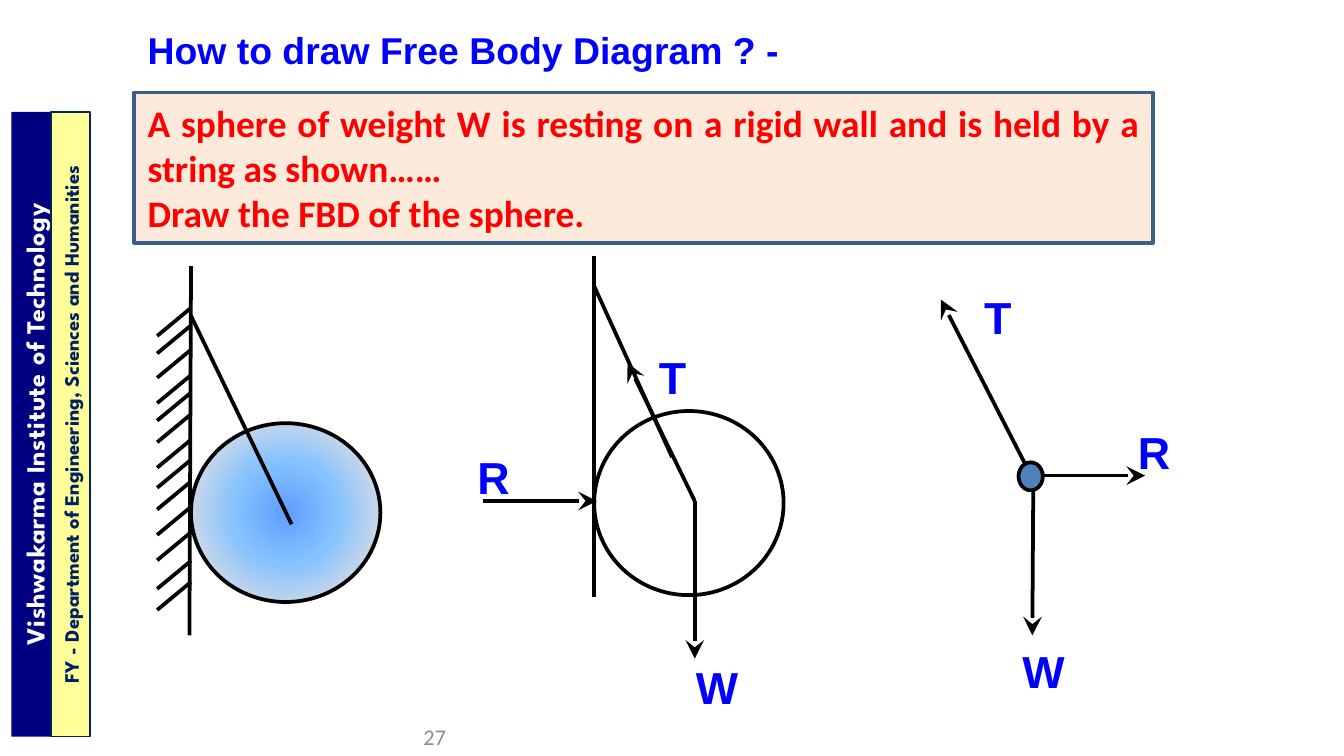
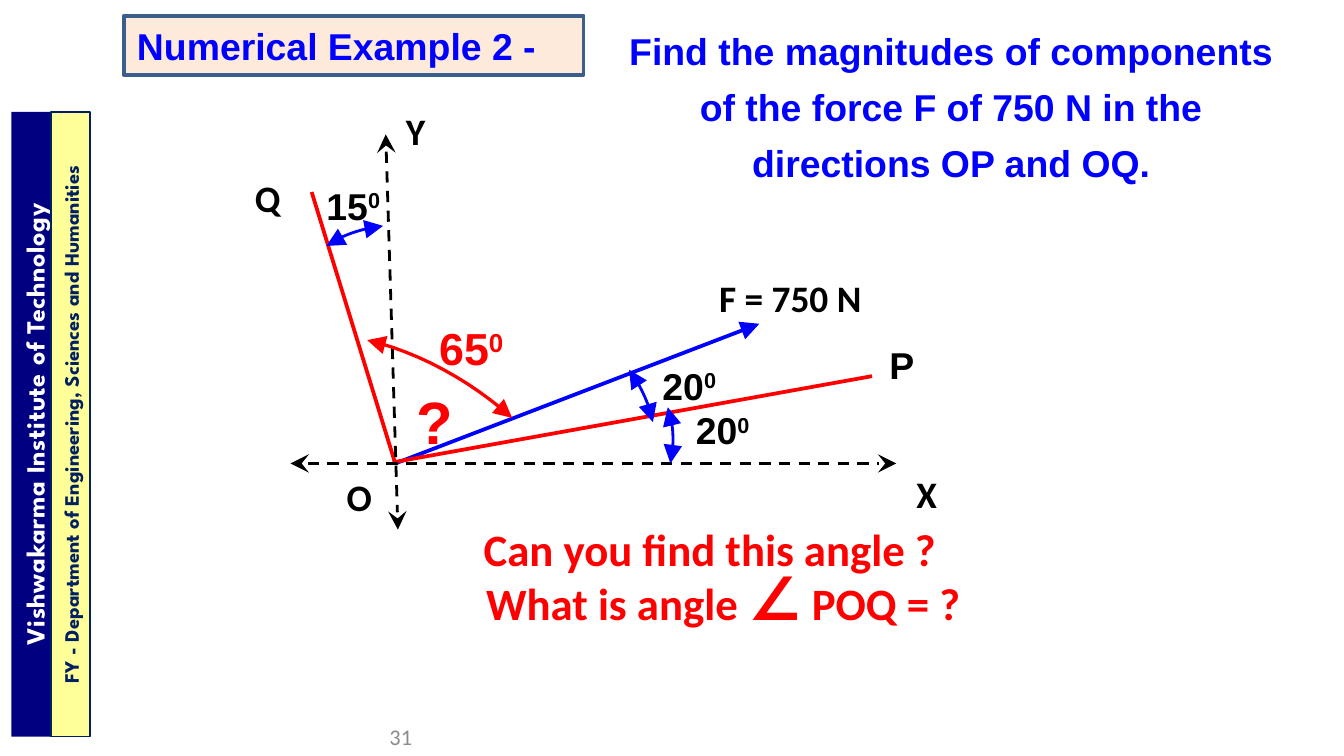
"""Build two mechanics slides: a free body diagram and a force resolution example."""
from lxml.etree import SubElement
from pptx import Presentation
from pptx.dml.color import RGBColor
from pptx.enum.dml import MSO_LINE as Dash
from pptx.enum.shapes import MSO_CONNECTOR as Conn, MSO_SHAPE as Kind
from pptx.enum.text import MSO_ANCHOR as Anchor, PP_ALIGN as Align
from pptx.oxml.ns import qn
from pptx.util import Cm, Pt

BLACK = RGBColor(0x00, 0x00, 0x00)
WHITE = RGBColor(0xFF, 0xFF, 0xFF)
BLUE = RGBColor(0x00, 0x00, 0xFF)
RED = RGBColor(0xFF, 0x00, 0x00)
GREY = RGBColor(0x8C, 0x8C, 0x8C)
NAVY = RGBColor(0x00, 0x00, 0x80)
INK = RGBColor(0x00, 0x20, 0x60)
CREAM = RGBColor(0xFF, 0xFF, 0x99)
PEACH = RGBColor(0xFD, 0xEA, 0xDA)
STEEL = RGBColor(0x3A, 0x5F, 0x8C)
DOT = RGBColor(0x4F, 0x81, 0xBD)


def stroke(shape, color, width=2, head=None, tail=None, dash=None):
    """Set the outline and arrowheads of a shape and drop its shadow."""
    shape.line.color.rgb = color
    shape.line.width = Pt(width)
    if dash:
        shape.line.dash_style = dash
    props = shape._element.spPr
    edge = props.find(qn("a:ln"))
    for tag, tip in (("a:headEnd", head), ("a:tailEnd", tail)):
        if tip:
            SubElement(edge, qn(tag), type=tip, w="lg", len="lg")
    SubElement(props, qn("a:effectLst"))


def write(shape, text, size, color, name="Arial", align=Align.LEFT,
          anchor=Anchor.MIDDLE, space=None, bold=True):
    """Fill a shape with text; a caret starts a superscript."""
    frame = shape.text_frame
    frame.word_wrap = True
    frame.vertical_anchor = anchor
    for i, part in enumerate(text.split("\n")):
        para = frame.add_paragraph() if i else frame.paragraphs[0]
        para.alignment = align
        para.line_spacing = space
        para.font.name, para.font.size = name, Pt(size)
        para.font.bold, para.font.color.rgb = bold, color
        base, _, power = part.partition("^")
        para.add_run().text = base
        if power:
            run = para.add_run()
            run.text = power
            run.font._element.set("baseline", "30000")
    return para


deck = Presentation()
deck.slide_width, deck.slide_height = Cm(25.4), Cm(14.29)
body, force = [deck.slides.add_slide(deck.slide_layouts[6]) for _ in range(2)]

BANDS = [
    ("Vishwakarma Institute of Technology", -5.26, 7.59, 0.86, 14, NAVY, WHITE, None, 30),
    ("FY - Department of Engineering, Sciences and Humanities",
     -4.57, 7.65, 0.74, 11, CREAM, INK, INK, 0),
]
for slide, page, left in ((body, "27", 3.18), (force, "31", 2.54)):
    for text, x, y, high, size, fill, color, edge, gap in BANDS:
        band = slide.shapes.add_shape(Kind.RECTANGLE, Cm(x), Cm(y), Cm(11.81), Cm(high))
        band.rotation = 270
        band.fill.solid()
        band.fill.fore_color.rgb = fill
        if edge:
            stroke(band, edge, 0.75)
        else:
            band.line.fill.background()
            band.shadow.inherit = False
        para = write(band, text, size, color, "League Spartan", Align.CENTER)
        para.runs[0].font._element.set("spc", str(gap))
    box = slide.shapes.add_textbox(Cm(left), Cm(13.54), Cm(5.5), Cm(0.76))
    write(box, page, 12, GREY, "Calibri", Align.RIGHT, bold=False)

QUEST = ("A sphere of weight W is resting on a rigid wall and is held by a string "
         "as shown……\nDraw the FBD of the sphere.")
PANELS = [
    (body, 2.54, 1.75, 19.25, 2.84, QUEST, RED, "Calibri", Align.JUSTIFY),
    (force, 2.34, 0.3, 8.69, 1.12, "Numerical Example 2 -", BLUE, "Arial", Align.LEFT),
]
for slide, x, y, wide, high, text, color, name, align in PANELS:
    panel = slide.shapes.add_shape(Kind.RECTANGLE, Cm(x), Cm(y), Cm(wide), Cm(high))
    panel.fill.solid()
    panel.fill.fore_color.rgb = PEACH
    stroke(panel, STEEL)
    write(panel, text, 20, color, name, align)

title = body.shapes.add_textbox(Cm(2.54), Cm(0.3), Cm(19.25), Cm(1.27))
write(title, "How to draw Free Body Diagram ? -", 20, BLUE)

ball = body.shapes.add_shape(Kind.OVAL, Cm(3.61), Cm(8), Cm(3.58), Cm(3.38))
props = ball._element.spPr
grad = SubElement(props, qn("a:gradFill"))
stops = SubElement(grad, qn("a:gsLst"))
for pos, tint in ((0, "5E9EFF"), (40, "85C2FF"), (70, "C4D6EB"), (100, "FFEBFA")):
    stop = SubElement(stops, qn("a:gs"), pos=str(pos * 1000))
    SubElement(stop, qn("a:srgbClr"), val=tint)
focus = SubElement(grad, qn("a:path"), path="circle")
SubElement(focus, qn("a:fillToRect"), l="50000", t="50000", r="50000", b="50000")
stroke(ball, BLACK)

ring = body.shapes.add_shape(Kind.OVAL, Cm(11.23), Cm(7.77), Cm(3.58), Cm(3.48))
ring.fill.background()
stroke(ring, BLACK)

HATCH = (6.35, 6.68, 7.14, 7.62, 7.95, 8.36, 8.84, 9.22, 9.63, 10.11, 10.59, 11.13, 11.53)
plain = [(2.97, y, 3.61, y - 0.53) for y in HATCH] + [
    (3.58, 12.01, 3.61, 5.03),
    (5.51, 9.91, 3.61, 5.97),
    (11.23, 11.28, 11.23, 4.83),
    (12.7, 8.64, 11.23, 5.41),
]
arrows = [
    (9.12, 9.47, 11.28, 9.47),
    (13.13, 9.47, 13.13, 12.45),
    (13.13, 9.47, 11.86, 6.86),
    (19.48, 8.99, 21.64, 8.99),
    (19.41, 8.84, 17.78, 5.66),
    (19.53, 8.84, 19.51, 12.01),
]
lines = [(body, ends, BLACK, 2, None, None, None) for ends in plain]
lines += [(body, ends, BLACK, 2, None, "stealth", None) for ends in arrows]
lines += [
    (force, (7.47, 8.76, 14.35, 6.12), BLUE, 2, None, "triangle", None),
    (force, (7.42, 8.74, 16.48, 7.11), RED, 2, None, None, None),
    (force, (7.47, 8.76, 5.89, 3.63), RED, 2, None, None, None),
    (force, (5.49, 8.76, 16.94, 8.76), BLACK, 1.5, "stealth", "stealth", Dash.DASH),
    (force, (7.29, 2.54, 7.52, 10.01), BLACK, 1.5, "stealth", "stealth", Dash.DASH),
]
for slide, ends, color, width, head, tail, dash in lines:
    line = slide.shapes.add_connector(Conn.STRAIGHT, *map(Cm, ends))
    stroke(line, color, width, head, tail, dash)

dot = body.shapes.add_shape(Kind.OVAL, Cm(19.25), Cm(8.74), Cm(0.46), Cm(0.53))
dot.fill.solid()
dot.fill.fore_color.rgb = DOT
stroke(dot, BLACK)

FORCES = [
    ("R", 8.48, 8.2), ("T", 11.86, 6.3), ("W", 12.7, 12.17),
    ("R", 20.96, 7.72), ("T", 18.01, 5.18), ("W", 18.87, 11.86),
]
for text, x, y in FORCES:
    box = body.shapes.add_textbox(Cm(x), Cm(y), Cm(1.7), Cm(1.12))
    write(box, text, 24, BLUE, align=Align.CENTER, space=1.5)

task = force.shapes.add_textbox(Cm(11.63), Cm(0.64), Cm(12.7), Cm(2.54))
write(task, "Find the magnitudes of components of the force F of 750 N in the "
      "directions OP and OQ.", 20, BLUE, align=Align.CENTER, space=Pt(30))

ARCS = [
    (BLUE, 1.5, ((12.62, 7.7), (12.73, 8), (12.75, 8.38), (12.67, 8.76))),
    (BLUE, 1.5, ((11.89, 6.99), (12.09, 7.26), (12.27, 7.62), (12.34, 7.98))),
    (BLUE, 1.5, ((6.17, 4.65), (6.45, 4.45), (6.83, 4.32), (7.24, 4.27))),
    (RED, 1.75, ((6.94, 6.43), (7.9, 6.65), (8.9, 7.2), (9.68, 7.9))),
]
STEPS = 12
for color, width, knots in ARCS:
    curve = []
    for i in range(STEPS + 1):
        t = i / STEPS
        mix = ((1 - t) ** 3, 3 * t * (1 - t) ** 2, 3 * t * t * (1 - t), t ** 3)
        curve.append([Cm(sum(m * k[axis] for m, k in zip(mix, knots))) for axis in (0, 1)])
    pen = force.shapes.build_freeform(*curve[0])
    pen.add_line_segments(curve[1:], close=False)
    arc = pen.convert_to_shape()
    arc.fill.background()
    stroke(arc, color, width, "triangle", "triangle")

LABELS = [
    ("F = 750 N", 13.34, 5.08, 3.43, 20, BLACK, "Calibri"),
    ("X", 17.07, 8.79, 1.12, 20, BLACK, "Calibri"),
    ("Y", 7.42, 1.91, 1.07, 20, BLACK, "Calibri"),
    ("P", 16.56, 6.35, 1.22, 20, BLACK, "Arial"),
    ("Q", 4.57, 3.18, 1.14, 20, BLACK, "Calibri"),
    ("O", 6.3, 8.84, 1.09, 20, BLACK, "Calibri"),
    ("20^0", 12.9, 7.57, 2.08, 20, BLACK, "Arial"),
    ("20^0", 12.27, 6.73, 2.08, 20, BLACK, "Arial"),
    ("15^0", 5.92, 3.33, 1.7, 20, BLACK, "Arial"),
    ("65^0", 8.05, 5.94, 2.08, 24, RED, "Arial"),
    ("?", 7.62, 7.14, 1.27, 32, RED, "Arial"),
]
for text, x, y, wide, size, color, name in LABELS:
    box = force.shapes.add_textbox(Cm(x), Cm(y), Cm(wide), Cm(size / 22))
    write(box, text, size, color, name, anchor=Anchor.TOP)

hint = force.shapes.add_textbox(Cm(8.89), Cm(9.86), Cm(10.8), Cm(0.97))
write(hint, "Can you find this angle ?", 24, RED, "Calibri", space=Pt(30))
ask = force.shapes.add_textbox(Cm(8.05), Cm(10.95), Cm(11.23), Cm(0.97))
para = write(ask, "What is angle ", 24, RED, "Calibri", Align.CENTER, space=Pt(30))
sign = para.add_run()
sign.text = "∠"
sign.font.size = Pt(32)
para.add_run().text = " POQ = ?"

deck.save("out.pptx")
